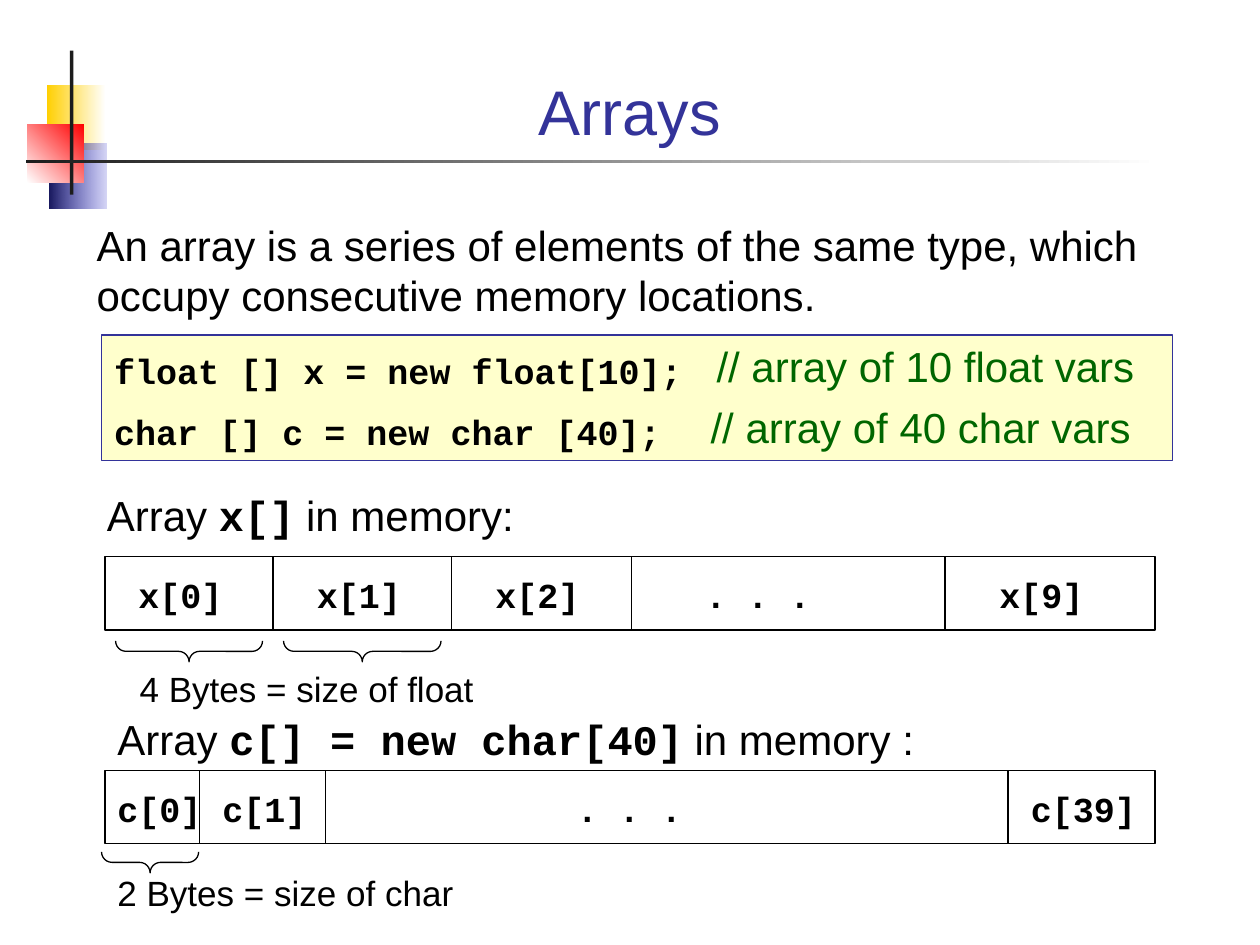
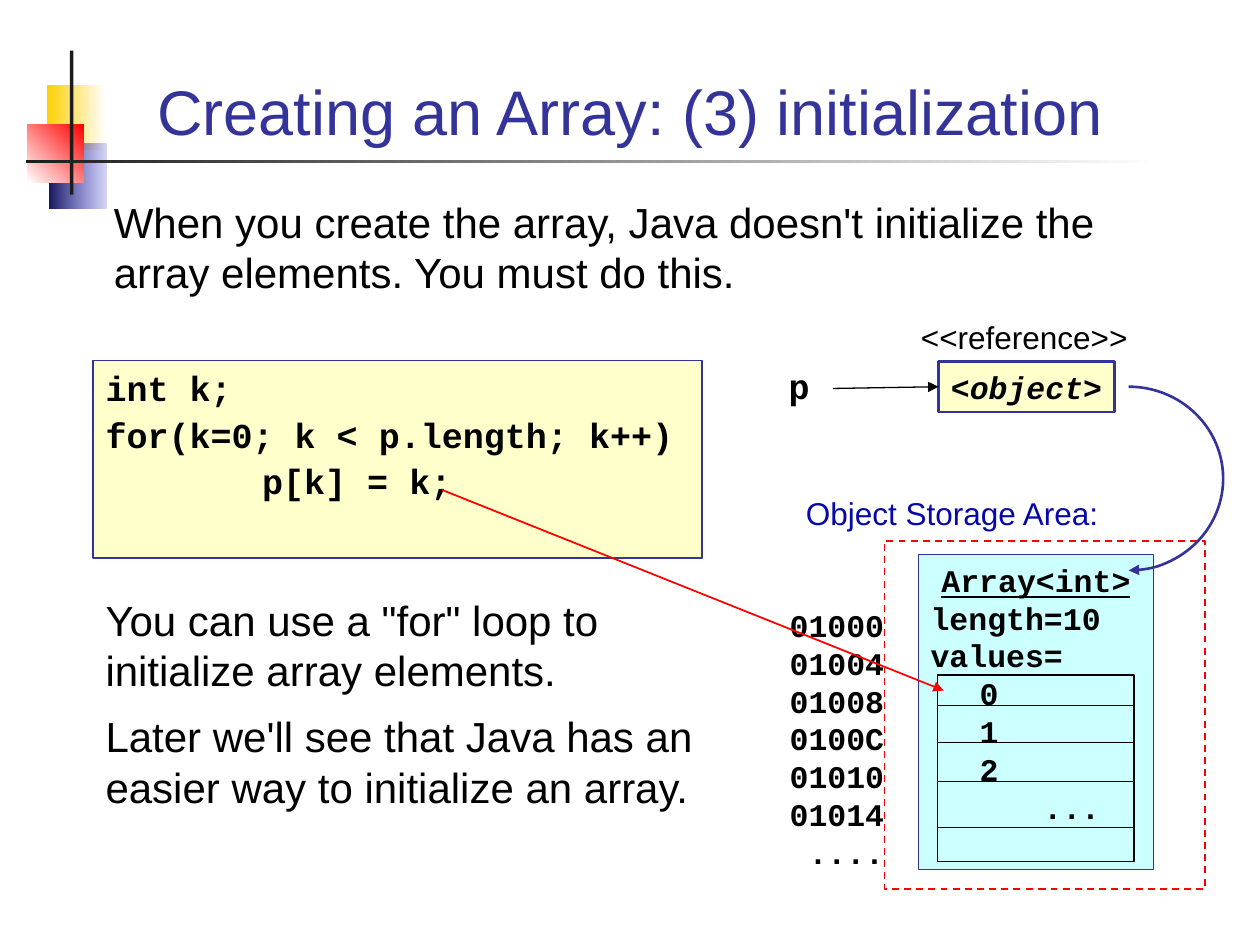
"""Build two slides that explain arrays and their initialization."""
import dataclasses

import lxml.etree
import pptx
import pptx.dml.color
import pptx.enum.dml
import pptx.enum.shapes
import pptx.enum.text
import pptx.oxml.ns
import pptx.util

Pt = pptx.util.Pt
qn = pptx.oxml.ns.qn
Preset = pptx.enum.shapes.MSO_SHAPE
Align = pptx.enum.text.PP_ALIGN
Anchor = pptx.enum.text.MSO_ANCHOR


@dataclasses.dataclass(frozen=True)
class Style:
    """Look of a span of text."""
    font: str
    size: float
    color: str = "000000"
    bold: bool = False
    italic: bool = False
    underline: bool = False


@dataclasses.dataclass(frozen=True)
class Theme:
    """Colours and type styles shared by the deck."""
    ink: str = "000000"
    blue: str = "333399"
    red: str = "FF0000"
    white: str = "FFFFFF"
    cream: str = "FFFFCC"
    cyan: str = "CCFFFF"
    gold: str = "FFCF01"
    navy: str = "17175E"
    violet: str = "3333CC"
    rule: str = "1C1C1C"
    thin: float = 0.75
    medium: float = 1
    thick: float = 1.5
    leading: float = 1.2
    title: Style = Style("Arial", 36, "333399")
    body: Style = Style("Arial", 24)
    comment: Style = Style("Arial", 24, "006600")
    caption: Style = Style("Arial", 20)
    note: Style = Style("Arial", 18)
    area: Style = Style("Arial", 18, "0707A9")
    inline_code: Style = Style("Courier New", 24, bold=True)
    code: Style = Style("Courier New", 20, bold=True)
    memory: Style = Style("Courier New", 18, bold=True)
    memory_italic: Style = Style("Courier New", 18, bold=True, italic=True)
    memory_head: Style = Style("Courier New", 18, bold=True, underline=True)


THEME = Theme()


@dataclasses.dataclass
class Para:
    """A paragraph made of (text, style) spans."""
    spans: list
    before: float = 0
    indent: float = 0
    align: int = Align.LEFT
    line_height: float = 0


def rgb(code):
    """Return a colour for a hex code."""
    return pptx.dml.color.RGBColor.from_string(code)


def points(box):
    """Turn left, top, width and height into lengths."""
    return [Pt(value) for value in box]


def shift(box, left, top, width, height):
    """Return a box placed relative to another box's corner."""
    return box[0] + left, box[1] + top, width, height


def write(shape, paras, anchor=Anchor.TOP, wrap=True):
    """Fill a shape with formatted paragraphs."""
    frame = shape.text_frame
    frame.text = ""
    frame.word_wrap, frame.vertical_anchor = wrap, anchor
    frame.auto_size = pptx.enum.text.MSO_AUTO_SIZE.NONE
    frame.margin_left = frame.margin_right = Pt(7.2)
    frame.margin_top = frame.margin_bottom = Pt(3.6)
    for index, item in enumerate(paras):
        para = frame.add_paragraph() if index else frame.paragraphs[0]
        props = para._p.get_or_add_pPr()
        props.set("marL", str(Pt(item.indent)))
        props.set("indent", "0")
        lxml.etree.SubElement(props, qn("a:buNone"))
        para.alignment = item.align
        para.space_before = Pt(item.before)
        largest = max(style.size for _, style in item.spans)
        para.line_spacing = Pt(item.line_height or round(largest * THEME.leading, 1))
        for text, style in item.spans:
            span = para.add_run()
            span.text = text
            font = span.font
            font.name, font.size, font.bold = style.font, Pt(style.size), style.bold
            font.italic, font.underline = style.italic, style.underline
            font.color.rgb = rgb(style.color)


def add_text(page, box, paras):
    """Add a wrapping text box."""
    write(page.shapes.add_textbox(*points(box)), paras)


def add_label(page, box, *spans):
    """Add a text box with one paragraph."""
    add_text(page, box, [Para(list(spans))])


def add_panel(page, box, fill=None, line=None, width=THEME.thin, preset=Preset.RECTANGLE):
    """Add a preset shape with a flat fill and an outline."""
    panel = page.shapes.add_shape(preset, *points(box))
    panel.shadow.inherit = False
    if fill:
        panel.fill.solid()
        panel.fill.fore_color.rgb = rgb(fill)
    else:
        panel.fill.background()
    if line:
        panel.line.color.rgb = rgb(line)
        panel.line.width = Pt(width)
    else:
        panel.line.fill.background()
    return panel


def add_arrowhead(shape):
    """Put a triangle at the end of a line."""
    line = shape.line._get_or_add_ln()
    lxml.etree.SubElement(line, qn("a:tailEnd"), type="triangle")


def add_line(page, start, end, color=THEME.ink, width=THEME.thin, arrow=False):
    """Add a straight connector, with an arrowhead if asked."""
    kind = pptx.enum.shapes.MSO_CONNECTOR.STRAIGHT
    line = page.shapes.add_connector(kind, *points(start + end))
    line.line.color.rgb = rgb(color)
    line.line.width = Pt(width)
    lxml.etree.SubElement(line._element.spPr, qn("a:effectLst"))
    if arrow:
        add_arrowhead(line)
    return line


def set_gradient(shape, start, end, clockwise=180, opacity=None):
    """Give a shape a linear gradient with an optional opacity at its start."""
    shape.fill.gradient()
    shape.fill.gradient_angle = 360 - clockwise
    stops = shape.fill.gradient_stops
    stops[0].color.rgb, stops[1].color.rgb = rgb(start), rgb(end)
    if opacity:
        color = shape._element.spPr.find(".//" + qn("a:srgbClr"))
        lxml.etree.SubElement(color, qn("a:alpha"), val=str(opacity * 1000))


def decorate_master(deck, page):
    """Draw the squares and rules and move them to the slide master."""
    gold, violet, red, upright, rule = blocks = [
        add_panel(page, box, THEME.rule) for box in (
            (26.8, 48.4, 33.6, 37.4), (28.3, 82, 32.4, 37.4), (15.5, 71, 32.5, 33.3),
            (40, 29, 2, 82.3), (15, 91.4, 647, 1.8))]
    set_gradient(gold, THEME.white, THEME.gold)
    set_gradient(violet, THEME.violet, THEME.navy, opacity=20)
    set_gradient(red, THEME.red, THEME.white, clockwise=135)
    set_gradient(rule, THEME.white, THEME.rule)
    tree = deck.slide_master.shapes.element
    for index, block in enumerate(blocks):
        block._element.nvSpPr.cNvPr.set("id", str(100 + index))
        tree.insert(2 + index, block._element)


def fill_placeholder(shape, box, paras, anchor=Anchor.TOP):
    """Move a placeholder and write its text."""
    shape.left, shape.top, shape.width, shape.height = points(box)
    write(shape, paras, anchor)


def add_page(deck, layout, title):
    """Add a slide with the shared title."""
    page = deck.slides.add_slide(deck.slide_layouts[layout])
    heading = Para([(title, THEME.title)], align=Align.CENTER)
    fill_placeholder(page.shapes.title, (48, 20, 624, 68.5), [heading], Anchor.BOTTOM)
    return page


def add_declarations(page, box):
    """Draw the code panel with its column of comments."""
    lines = ("float [] x = new float[10];", "char [] c = new char [40];")
    remarks = (("// array of 10 float vars", 3.4), ("// array of 40 char vars", 0))
    write(add_panel(page, box, THEME.cream, THEME.blue), [
        Para([(line, THEME.code)], before=6 * index, line_height=28.8)
        for index, line in enumerate(lines)])
    add_text(page, shift(box, 340.8, -0.4, 271, 72), [
        Para([(remark, THEME.comment)], before=6 * index, indent=indent)
        for index, (remark, indent) in enumerate(remarks)])


def add_memory_row(page, box, dividers, labels, braces, brace_top):
    """Draw an array as a divided strip with braces beneath it."""
    left, top, _, height = box
    add_panel(page, box, line=THEME.ink)
    for offset in dividers:
        add_line(page, (left + offset, top), (left + offset, top + height))
    for text, offset in labels:
        add_label(page, shift(box, offset, 6, 90, 31.5), (text, THEME.code))
    depth = 12
    for offset, span in braces:
        upright = shift(box, offset + (span - depth) / 2,
                        brace_top + (depth - span) / 2, depth, span)
        brace = add_panel(page, upright, line=THEME.ink, preset=Preset.RIGHT_BRACE)
        brace.adjustments[0] = brace.adjustments[1] = 0.5
        brace.rotation = 90


def build_arrays_page(page):
    """Fill the slide on arrays in memory."""
    fill_placeholder(page.placeholders[1], (48, 121.7, 624, 67.7), [Para([(
        "An array is a series of elements of the same type, which occupy "
        "consecutive memory locations.", THEME.body)])])
    add_declarations(page, (58.2, 191.4, 612, 72))

    floats = (60, 318.2, 600, 41.8)
    add_memory_row(
        page, floats, (96, 198, 301, 480),
        (("x[0]", 12), ("x[1]", 114), ("x[2]", 216), (". . .", 336), ("x[9]", 504)),
        ((6, 84), (102, 90)), 48)
    add_label(page, shift(floats, -6, -42.2, 280, 36), ("Array ", THEME.body),
              ("x[]", THEME.inline_code), (" in memory:", THEME.body))
    add_label(page, shift(floats, 12.7, 59.8, 240, 31.5),
              ("4 Bytes = size of float", THEME.caption))

    chars = (60, 440.2, 600, 41.8)
    add_memory_row(
        page, chars, (54, 126, 516),
        (("c[0]", 0), ("c[1]", 60), (". . .", 262.5), ("c[39]", 522)),
        ((-2, 55.5),), 46.6)
    add_label(page, shift(chars, 0, -36.2, 520, 36), ("Array ", THEME.body),
              ("c[] = new char[40]", THEME.inline_code), (" in memory :", THEME.body))
    add_label(page, shift(chars, 0, 54.4, 240, 31.5),
              ("2 Bytes = size of char", THEME.caption))


def add_reference(page, box):
    """Draw the variable p pointing at its object reference."""
    target = add_panel(page, shift(box, 92.8, 28.6, 100.8, 28.8), THEME.cream,
                       THEME.blue, THEME.thick)
    write(target, [Para([("<", THEME.memory), ("object", THEME.memory_italic),
                         (">", THEME.memory)])], wrap=False)
    add_label(page, shift(box, 0, 26.5, 32, 31.5), ("p", THEME.code))
    arrow = add_line(page, (box[0] + 32.5, box[1] + 44),
                     (box[0] + 92.8, box[1] + 43), arrow=True)
    arrow.end_connect(target, 1)
    add_text(page, shift(box, 60.5, 0, 162.7, 28.8),
             [Para([("<<reference>>", THEME.note)], align=Align.CENTER)])


def add_storage(page, box):
    """Draw the object storage area with its addresses and array object."""
    item = add_panel(page, shift(box, 19.2, 8, 134.6, 180), THEME.cyan, THEME.blue)
    rows = (("length=10", 0), ("values=", 0), ("0", 28), ("1", 28), ("2", 28), ("...", 64.5))
    write(item, [Para([("Array<int>", THEME.memory_head)], align=Align.CENTER)]
          + [Para([(text, THEME.memory)], indent=indent) for text, indent in rows])
    addresses = ("01000", "01004", "01008", "0100C", "01010", "01014", "....")
    add_text(page, shift(box, -75.2, 33.8, 82, 158.5),
             [Para([(text, THEME.memory)], align=Align.RIGHT) for text in addresses])
    add_text(page, shift(box, -52, -30.3, 199.5, 28.8),
             [Para([("Object Storage Area:", THEME.area)])])
    border = add_panel(page, box, line=THEME.red, width=THEME.medium)
    border.line.dash_style = pptx.enum.dml.MSO_LINE.DASH
    values = shift(box, 30.2, 76.8, 112.3, 106.6)
    add_panel(page, values, line=THEME.ink)
    for offset in (17.5, 38.7, 60.7, 87.2):
        height = values[1] + offset
        add_line(page, (values[0], height), (values[0] + values[2], height))


def build_initialization_page(page):
    """Fill the slide on initializing an array."""
    loop = add_panel(page, (53.2, 206, 348, 113), THEME.cream, THEME.blue)
    lines = (("int k;", 0), ("for(k=0; k < p.length; k++)", 0), ("p[k] = k;", 89.5))
    write(loop, [Para([(text, THEME.code)], before=2.5 if index else 0, indent=indent)
                 for index, (text, indent) in enumerate(lines)])
    add_text(page, (58, 108.7, 604, 65), [Para([(
        "When you create the array, Java doesn't initialize the array elements. "
        "You must do this.", THEME.body)])])
    add_text(page, (53.2, 336, 378, 132), [
        Para([('You can use a "for" loop to initialize array elements.', THEME.body)]),
        Para([("Later we'll see that Java has an easier way to initialize an array.",
               THEME.body)], before=9)])
    add_reference(page, (443.5, 178, 223, 58))
    add_storage(page, (505.5, 309, 183, 199.2))
    curve = add_panel(page, (591, 221, 108, 105), line=THEME.blue,
                      width=THEME.thick, preset=Preset.ARC)
    curve.adjustments[0], curve.adjustments[1] = 162, 54
    add_arrowhead(curve)
    add_line(page, (252.7, 280), (539.3, 394.6), THEME.red, THEME.medium, arrow=True)


def main():
    """Build and save the deck."""
    deck = pptx.Presentation()
    deck.slide_width, deck.slide_height = Pt(720), Pt(540)
    arrays = add_page(deck, 1, "Arrays")
    decorate_master(deck, arrays)
    build_arrays_page(arrays)
    build_initialization_page(add_page(deck, 5, "Creating an Array: (3) initialization"))
    deck.save("out.pptx")


if __name__ == "__main__":
    main()
